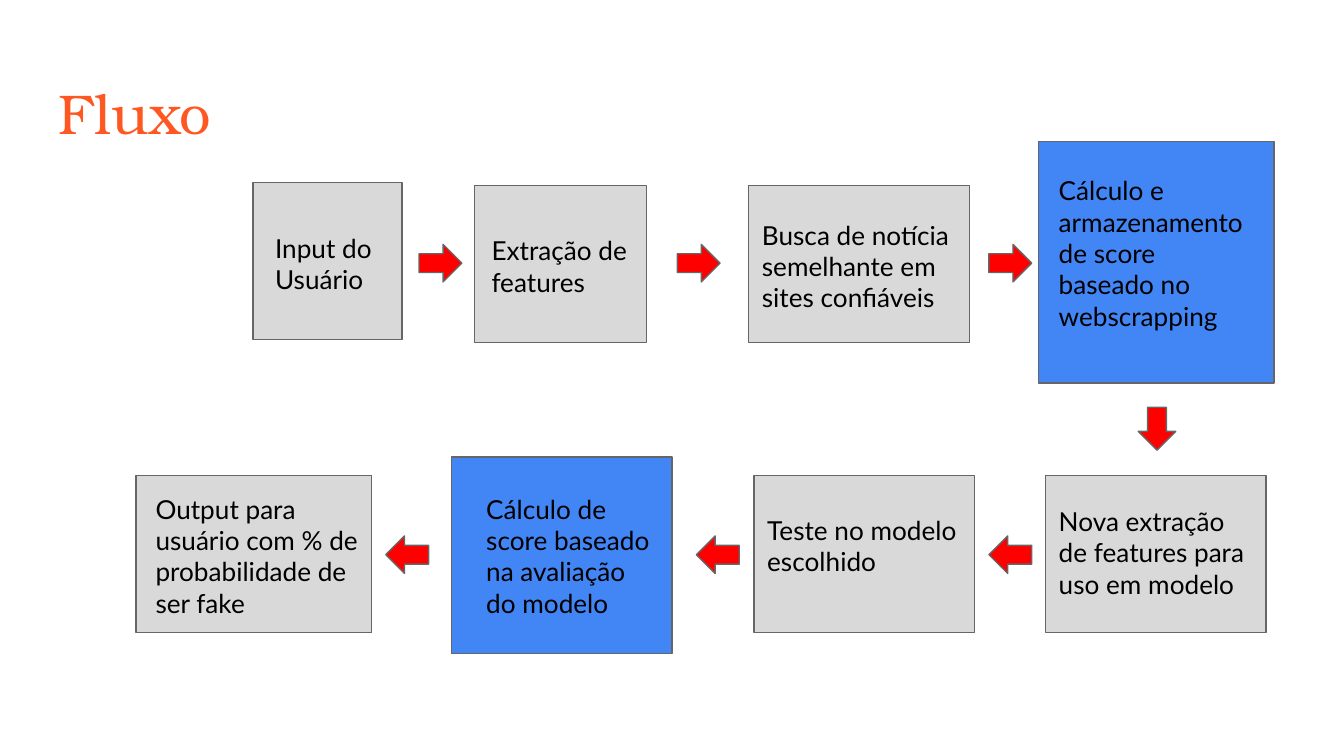
from pptx import Presentation
from pptx.dml.color import RGBColor
from pptx.enum.shapes import MSO_SHAPE
from pptx.util import Cm, Pt

COLORS = {
    "title": "FF5722",
    "text": "000000",
    "step": "D9D9D9",
    "score": "4285F4",
    "arrow": "FF0000",
    "outline": "666666",
}

deck = Presentation()
deck.slide_width, deck.slide_height = Cm(25.4), Cm(14.29)
page = deck.slides.add_slide(deck.slide_layouts[6])


def add_text(text, left, top, width, height=1.6, size=14, font="Lato", color="text"):
    box = page.shapes.add_textbox(Cm(left), Cm(top), Cm(width), Cm(height))
    frame = box.text_frame
    frame.word_wrap = True
    frame.margin_left = frame.margin_right = Cm(0.25)
    frame.margin_top = frame.margin_bottom = Cm(0.25)
    span = frame.paragraphs[0].add_run()
    span.text = text
    span.font.size = Pt(size)
    span.font.name = font
    span.font.color.rgb = RGBColor.from_string(COLORS[color])


def add_outlined(kind, left, top, width, height, fill):
    shape = page.shapes.add_shape(kind, Cm(left), Cm(top), Cm(width), Cm(height))
    shape.shadow.inherit = False
    shape.fill.solid()
    shape.fill.fore_color.rgb = RGBColor.from_string(COLORS[fill])
    shape.line.color.rgb = RGBColor.from_string(COLORS["outline"])
    shape.line.width = Pt(0.75)
    return shape


# Title
add_text("Fluxo", 0.86, 1.24, 23.67, size=30, font="TeX Gyre Bonum", color="title")

# Steps in flow order: text, fill, box (left, top, width, height),
# label (left, top, width)
steps = [
    ("Input do Usuário", "step", (4.78, 3.45, 2.82, 2.97), (4.95, 4.14, 2.44)),
    ("Extração de features", "step", (8.97, 3.51, 3.25, 2.97), (9.04, 4.19, 3.07)),
    ("Busca de notícia semelhante em sites confiáveis", "step",
     (14.15, 3.51, 4.17, 2.97), (14.15, 3.89, 4.17)),
    ("Cálculo e armazenamento de score baseado no webscrapping", "score",
     (19.63, 2.67, 4.45, 4.57), (19.76, 3.05, 4.17)),
    ("Nova extração de features para uso em modelo", "step",
     (19.76, 8.99, 4.17, 2.97), (19.76, 9.3, 4.17)),
    ("Teste no modelo escolhido", "step",
     (14.25, 8.99, 4.17, 2.97), (14.25, 9.47, 4.17)),
    ("Cálculo de score baseado na avaliação do modelo", "score",
     (8.53, 8.64, 4.17, 3.71), (8.94, 9.07, 3.71)),
    ("Output para usuário com % de probabilidade de ser fake", "step",
     (2.57, 8.99, 4.45, 2.97), (2.69, 9.07, 4.45)),
]
for text, fill, box, label in steps:
    add_outlined(MSO_SHAPE.RECTANGLE, *box, fill)
    add_text(text, *label)

# Arrows: rightwards on the upper row, down, then leftwards on the lower row
arrow_groups = [
    (0, 4.62, [7.92, 12.8, 18.69]),
    (90, 7.75, [21.46]),
    (180, 10.13, [18.69, 13.16, 7.29]),
]
for rotation, top, lefts in arrow_groups:
    for left in lefts:
        arrow = add_outlined(MSO_SHAPE.RIGHT_ARROW, left, top, 0.81, 0.71, "arrow")
        arrow.rotation = rotation

deck.save("out.pptx")
